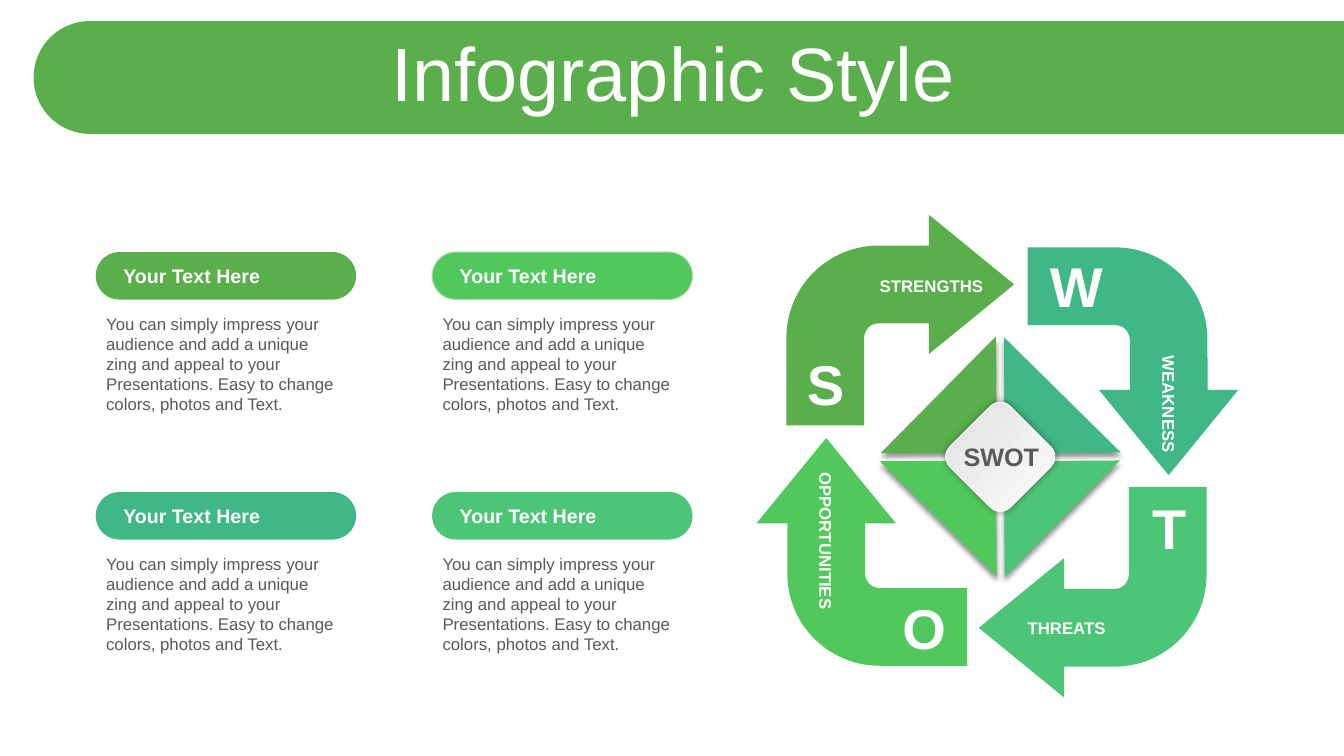
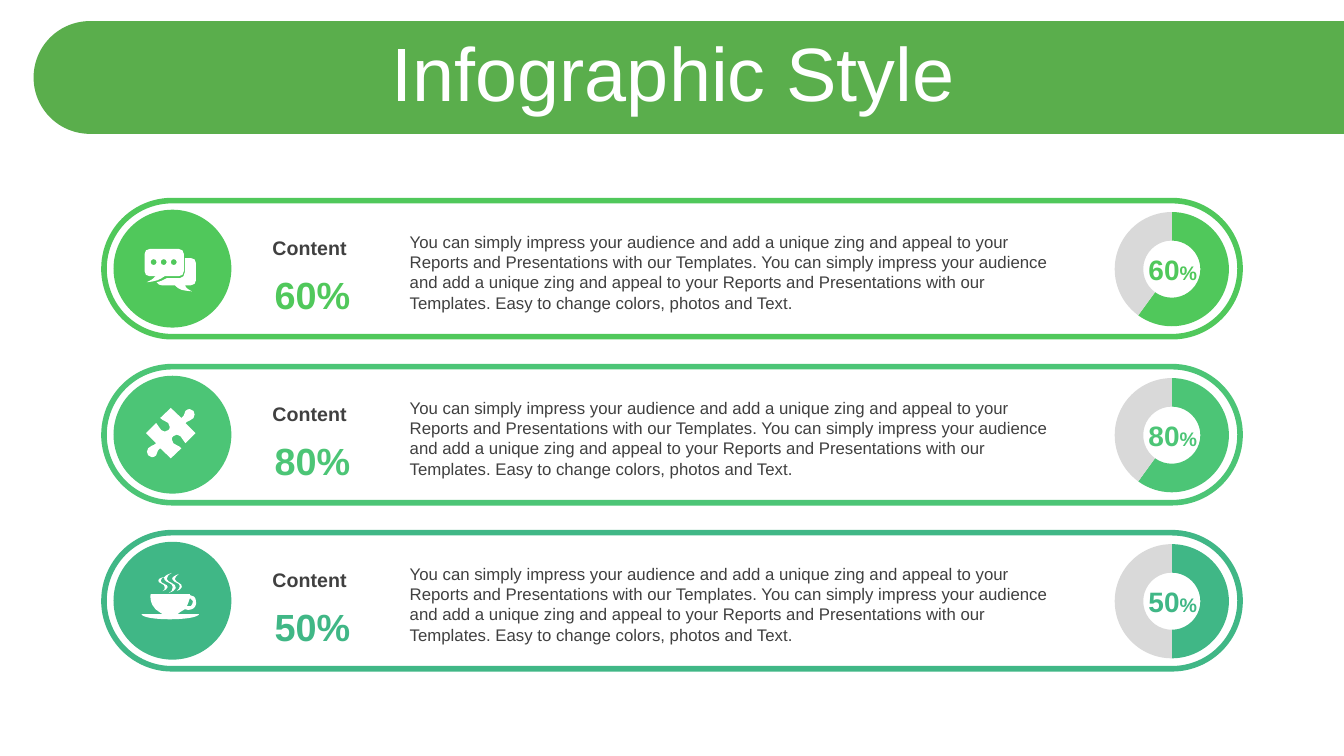
from functools import partial

from lxml.etree import SubElement
from pptx import Presentation
from pptx.chart.data import CategoryChartData
from pptx.dml.color import RGBColor
from pptx.enum.chart import XL_CHART_TYPE
from pptx.enum.shapes import MSO_SHAPE
from pptx.enum.text import MSO_ANCHOR, MSO_AUTO_SIZE, PP_ALIGN
from pptx.oxml.ns import qn
from pptx.util import Pt

FONT = "Arial"
WHITE, GREY, DARK, TRACK = "FFFFFF", "595959", "404040", "D9D9D9"
LEAF, LIME, MINT, TEAL = "5AAE4C", "50C85B", "4CC576", "40B786"
TITLE = "Infographic Style"
CARD_TEXT = (
    "You can simply impress your audience and add a unique zing and appeal to your "
    "Presentations. Easy to change colors, photos and Text."
)
PITCH = (
    "You can simply impress your audience and add a unique zing and appeal to your "
    "Reports and Presentations with our Templates. "
)
ROW_TEXT = PITCH + PITCH + "Easy to change colors, photos and Text."

# Icon outlines in hundredths of an inch around the icon's centre:
# two numbers are a corner, six numbers a Bezier curve.
PUZZLE_HALF = [
    (23.5, -20, 24.5, -17, 22.5, -15), (20.5, -12, 17.5, -13, 14.5, -10),
    (24.5, 0), (14.5, 10), (11.5, 8, 12.5, 5, 9.5, 3), (7.5, 1, 4.5, 1, 2.5, 3),
    (0.5, 4, 0.5, 8, 2.5, 10), (5.5, 13, 6.5, 11, 10.5, 15), (0, 25), (-10.5, 15),
    (-14.5, 18, -12.5, 19, -14.5, 22), (-17.5, 25, -20.5, 24, -22.5, 22),
]
PUZZLE = [[(22.5, -22)] + PUZZLE_HALF + [tuple(-v for v in part) for part in PUZZLE_HALF]]


def dot(x, y, r):
    k = 0.55 * r
    return [(x, y - r), (x - k, y - r, x - r, y - k, x - r, y),
            (x - r, y + k, x - k, y + r, x, y + r), (x + k, y + r, x + r, y + k, x + r, y),
            (x + r, y - k, x + k, y - r, x, y - r)]


CHAT = [dot(x, -5, 3) for x in (3, -7, -17)] + [
    [(14, -9), (20, -9), (23, -9, 25, -7, 25, -4), (25, 13), (25, 16, 23, 18, 20, 18),
     (14, 18), (15, 20, 15, 21, 21, 24), (11, 23, 9, 23, 4, 18), (-9, 18),
     (-11, 18, -13, 17, -14, 15), (-10, 14, -7, 13, -4, 11), (9, 11),
     (12, 11, 14, 8, 14, 5), (14, -9)],
    [(-21, -18), (8, -18), (11, -18, 13, -16, 13, -13), (13, 4), (13, 7, 11, 9, 8, 9),
     (-6, 9), (-12, 13, -14, 14, -24, 15), (-18, 12, -18, 12, -15, 9), (-21, 9),
     (-24, 9, -26, 7, -26, 4), (-26, -13), (-26, -16, -24, -18, -21, -18)],
]
CUP = [
    [(19, -1), (18, 2, 17, 5, 16, 7), (17, 7, 18, 7, 20, 7), (21, 6, 22, 4, 22, 2),
     (21, 1, 20, 0, 19, -1)],
    [(19, -5), (19, -4), (22, -4, 25, -2, 25, 2), (26, 5, 24, 9, 21, 10),
     (19, 11, 16, 11, 14, 10), (12, 11, 11, 12, 9, 13), (8, 14, 7, 15, 6, 15), (28, 15),
     (27, 18, 14, 20, -1, 20), (-16, 20, -28, 18, -29, 15), (-7, 15),
     (-8, 15, -10, 14, -11, 13), (-17, 10, -21, 3, -20, -5)],
    [(-6, -22), (-8, -21, -10, -21, -10, -18), (-9, -15, -3, -15, -3, -12),
     (-4, -10, -5, -9, -8, -8), (-6, -9, -6, -10, -6, -12),
     (-6, -15, -10, -15, -12, -17), (-13, -20, -11, -21, -6, -22)],
    [(8, -25), (6, -23, 4, -22, 4, -20), (5, -16, 12, -16, 11, -12),
     (10, -10, 9, -9, 6, -8), (8, -10, 9, -11, 9, -13), (9, -16, 4, -16, 2, -19),
     (0, -21, 3, -23, 8, -25)],
    [(1, -26), (-2, -24, -4, -23, -4, -20), (-3, -16, 6, -16, 5, -11),
     (4, -8, 2, -8, -2, -6), (1, -8, 2, -9, 2, -12), (2, -16, -4, -16, -6, -19),
     (-8, -22, -5, -24, 1, -26)],
]


def rgb(color):
    return RGBColor.from_string(color)


def paint(shape, fill=None, line=None, width=0.75):
    shape.shadow.inherit = False
    if fill:
        shape.fill.solid()
        shape.fill.fore_color.rgb = rgb(fill)
    else:
        shape.fill.background()
    if line:
        shape.line.color.rgb = rgb(line)
        shape.line.width = Pt(width)
    else:
        shape.line.fill.background()


def add_shape(slide, kind, left, top, width, height, fill=None, line=None,
              line_width=0.75, adjust=(), rotation=0):
    shape = slide.shapes.add_shape(kind, Pt(left), Pt(top), Pt(width), Pt(height))
    paint(shape, fill, line, line_width)
    for i, value in enumerate(adjust):
        shape.adjustments[i] = value
    shape.rotation = rotation
    return shape


def add_centred(slide, kind, x, y, width, height, **style):
    return add_shape(slide, kind, x - width / 2, y - height / 2, width, height, **style)


def write(shape, runs, color, align=PP_ALIGN.LEFT, anchor=MSO_ANCHOR.TOP, bold=False):
    """Fill the shape with one paragraph of (text, size) runs."""
    frame = shape.text_frame
    frame.word_wrap = True
    frame.auto_size = MSO_AUTO_SIZE.NONE
    frame.vertical_anchor = anchor
    paragraph = frame.paragraphs[0]
    paragraph.alignment = align
    for text, size in runs:
        run = paragraph.add_run()
        run.text = text
        run.font.name = FONT
        run.font.size = Pt(size)
        run.font.bold = bold
        run.font.color.rgb = rgb(color)
    return paragraph


def add_text(slide, left, top, width, height, runs, color, **style):
    box = slide.shapes.add_textbox(Pt(left), Pt(top), Pt(width), Pt(height))
    write(box, runs, color, **style)


def add_shadow(shape, alpha, blur, distance, direction):
    effects = shape.element.spPr.find(qn("a:effectLst"))
    shadow = SubElement(effects, qn("a:outerShdw"), blurRad=str(Pt(blur)),
                        dist=str(Pt(distance)), dir=str(direction * 60000),
                        rotWithShape="0")
    black = SubElement(shadow, qn("a:srgbClr"), val="000000")
    SubElement(black, qn("a:alpha"), val=str(alpha * 1000))


def style_layout(layout, slide):
    """Put the green band behind the title of the layout; drawn through a slide."""
    band = add_centred(slide, MSO_SHAPE.ROUND_2_SAME_RECTANGLE, 492, 55.3, 80.6, 936,
                       fill=LEAF, adjust=(0.5, 0), rotation=270)
    layout.shapes.element.insert(2, band.element)
    title = layout.placeholders[0]
    title.left, title.top, title.width, title.height = Pt(25.2), Pt(26.6), Pt(911.6), Pt(57)


def write_title(slide):
    paragraph = write(slide.shapes.title, [(TITLE, 54)], WHITE,
                      align=PP_ALIGN.CENTER, anchor=MSO_ANCHOR.MIDDLE)
    paragraph.line_spacing = 0.9


def add_card(slide, left, top, color, border):
    add_text(slide, left + 0.3, top + 40.4, 181.4, 80, [(CARD_TEXT, 12)], GREY)
    pill = add_shape(slide, MSO_SHAPE.ROUNDED_RECTANGLE, left, top, 186, 34,
                     fill=color, line=border, adjust=(0.5,))
    pill.text_frame.margin_left = Pt(14.7)
    write(pill, [("Your Text Here", 14)], WHITE, anchor=MSO_ANCHOR.MIDDLE, bold=True)


def add_swot_ring(slide, x, y):
    """Four arrows around a diamond, centred on x, y."""
    right, left = PP_ALIGN.RIGHT, PP_ALIGN.LEFT
    quarters = [
        # colour, arrow offset, letter and offset, label, offset, width, turn, alignment
        (LEAF, (-69, -97.4), "S", (-122.4, -52), "STRENGTHS", (-56.2, -122), 109.4, 0, right),
        (TEAL, (97.2, -67.9), "W", (56.7, -122), "WEAKNESS", (123, -49.1), 109.4, 90, right),
        (MINT, (68.4, 97), "T", (123, 51), "THREATS", (68.4, 122.3), 109.4, 0, left),
        (LIME, (-96.5, 68.2), "O", (-52, 122.2), "OPPORTUNITIES", (-122, 73.3), 140.4, 90, left),
    ]
    for i, (color, (ax, ay), *_) in enumerate(quarters):
        add_centred(slide, MSO_SHAPE.BENT_ARROW, x + ax, y + ay, 162.7, 150.5,
                    fill=color, adjust=(0.369, 0.331, 0.405, 0.438), rotation=90 * i)
    for _, _, letter, (lx, ly), *_ in quarters:
        add_text(slide, x + lx - 32.4, y + ly - 27.7, 64.8, 55.4, [(letter, 40)], WHITE,
                 align=PP_ALIGN.CENTER, bold=True)
    for *_, label, (tx, ty), width, turn, align in quarters:
        caption = add_centred(slide, MSO_SHAPE.ROUNDED_RECTANGLE, x + tx, y + ty, width, 21,
                              adjust=(0.18,), rotation=turn)
        write(caption, [(label, 12)], WHITE, align=align, anchor=MSO_ANCHOR.MIDDLE, bold=True)

    core_x, core_y = x + 2.4, y + 0.3
    wedge_x, wedge_y = -44.3, -44.3
    for i, (color, *_) in enumerate(quarters):
        wedge = add_centred(slide, MSO_SHAPE.RIGHT_TRIANGLE, core_x + wedge_x,
                            core_y + wedge_y, 82.8, 82.8, fill=color,
                            rotation=(269.6 + 90 * i) % 360)
        add_shadow(wedge, 43, 4, 3, 90)
        wedge_x, wedge_y = -wedge_y, wedge_x
    core = add_centred(slide, MSO_SHAPE.ROUNDED_RECTANGLE, core_x, core_y, 61.2, 61.2,
                       line=WHITE, line_width=0.5, rotation=45)
    core.fill.gradient()
    core.fill.gradient_angle = 0
    for stop, color in zip(core.fill.gradient_stops, ("DEDEDE", WHITE)):
        stop.color.rgb = rgb(color)
    add_shadow(core, 40, 5, 0, 0)
    add_text(slide, core_x - 35.2, core_y - 14.7, 72, 28.8, [("SWOT", 18)], GREY,
             align=PP_ALIGN.CENTER, bold=True)


def add_icon(slide, x, y, outlines):
    """Draw the outlines corner to corner, then bend the sides that are curves."""
    def place(px, py):
        return Pt(x + 0.72 * px), Pt(y + 0.72 * py)

    builder = slide.shapes.build_freeform(*place(*outlines[0][0]))
    for i, outline in enumerate(outlines):
        if i:
            builder.move_to(*place(*outline[0]))
        builder.add_line_segments([place(*part[-2:]) for part in outline[1:]], close=True)
    icon = builder.convert_to_shape()
    paint(icon, WHITE)
    sides = [part for outline in outlines for part in outline[1:]]
    for line, part in zip(list(icon.element.iter(qn("a:lnTo"))), sides):
        if len(part) == 6:
            line.tag = qn("a:cubicBezTo")
            for j in (0, 2):
                px, py = place(*part[j:j + 2])
                control = SubElement(line, qn("a:pt"), x=str(px - icon.left),
                                     y=str(py - icon.top))
                line.insert(j // 2, control)


def add_ring_chart(slide, left, top, width, height, share, color):
    data = CategoryChartData()
    data.categories = ["1", "2"]
    data.add_series("Series 1", (share, 100 - share))
    chart = slide.shapes.add_chart(XL_CHART_TYPE.DOUGHNUT, Pt(left), Pt(top),
                                   Pt(width), Pt(height), data).chart
    chart.has_legend = False
    chart.has_title = False
    chart.font.name, chart.font.size = FONT, Pt(18)
    chart.font.color.rgb = rgb("000000")
    plot = chart.plots[0]
    plot.vary_by_categories = True
    for i, fill in enumerate((color, TRACK)):
        slice_format = plot.series[0].points[i].format
        slice_format.fill.solid()
        slice_format.fill.fore_color.rgb = rgb(fill)
        slice_format.line.fill.background()
    next(chart.element.iter(qn("c:holeSize"))).set("val", "65")
    area = next(chart.element.iter(qn("c:plotArea")))
    for old in area.findall(qn("c:layout")):
        area.remove(old)
    layout = SubElement(area, qn("c:layout"))
    area.insert(0, layout)
    manual = SubElement(layout, qn("c:manualLayout"))
    for tag, value in (("layoutTarget", "inner"), ("xMode", "edge"), ("yMode", "edge"),
                       ("x", "0.04"), ("y", "0"), ("w", "0.93"), ("h", "1")):
        SubElement(manual, qn("c:" + tag), val=value)


def add_progress_row(slide, left, top, color, percent, share, icon):
    centred = partial(add_text, slide, align=PP_ALIGN.CENTER, bold=True)
    centred(left + 108.7, top + 21.6, 76.3, 25, [("Content", 14)], DARK)
    centred(left + 110.7, top + 47, 76.3, 40, [(f"{percent}%", 27)], color)
    add_text(slide, left + 211.3, top + 18.7, 478, 65.5, [(ROW_TEXT, 12)], DARK)
    add_ring_chart(slide, left + 718.4, top + 6.5, 87.8, 85, share, color)
    add_shape(slide, MSO_SHAPE.ROUNDED_RECTANGLE, left, top, 811.5, 97.2,
              line=color, line_width=4, adjust=(0.5,))
    add_shape(slide, MSO_SHAPE.OVAL, left + 6.8, top + 6.5, 84.2, 84.2, fill=color)
    centred(left + 737.9, top + 33.1, 51, 31.7, [(str(percent), 20), ("%", 14)], color,
            anchor=MSO_ANCHOR.MIDDLE)
    add_icon(slide, left + 47.7, top + 47.5, icon)


def build_swot_slide(slide):
    write_title(slide)
    cards = [(LEAF, None), (LIME, "B4DBAE"), (TEAL, None), (MINT, None)]
    for i, (color, border) in enumerate(cards):
        row, column = divmod(i, 2)
        add_card(slide, 68.4 + 240.3 * column, 180 + 171.4 * row, color, border)
    add_swot_ring(slide, 712.1, 326)


def build_progress_slide(slide):
    write_title(slide)
    rows = [(LIME, 60, 60, CHAT), (MINT, 80, 60, PUZZLE), (TEAL, 50, 50, CUP)]
    for i, row in enumerate(rows):
        add_progress_row(slide, 74.3, 143.3 + 118.6 * i, *row)


def main():
    deck = Presentation()
    deck.slide_width, deck.slide_height = Pt(960), Pt(540)
    layout = deck.slide_layouts[5]
    swot, progress = (deck.slides.add_slide(layout) for _ in range(2))
    style_layout(layout, swot)
    build_swot_slide(swot)
    build_progress_slide(progress)
    deck.save("out.pptx")


if __name__ == "__main__":
    main()
